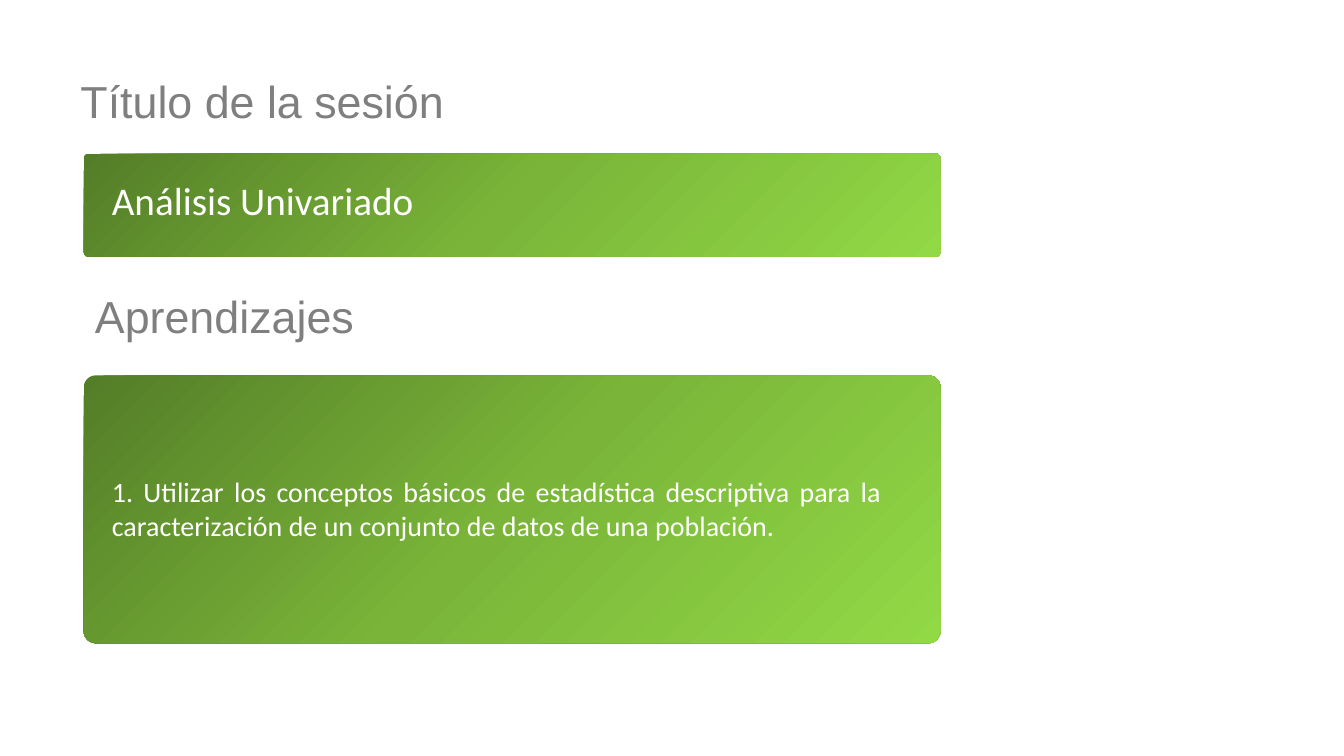
from copy import deepcopy

from pptx import Presentation
from pptx.dml.color import RGBColor
from pptx.enum.shapes import MSO_SHAPE
from pptx.enum.text import MSO_ANCHOR, MSO_AUTO_SIZE, PP_ALIGN
from pptx.util import Cm, Pt

ROUND = MSO_SHAPE.ROUNDED_RECTANGLE
TOP, MID = MSO_ANCHOR.TOP, MSO_ANCHOR.MIDDLE
FIXED = MSO_AUTO_SIZE.NONE
LEFT, CENTER, JUST = PP_ALIGN.LEFT, PP_ALIGN.CENTER, PP_ALIGN.JUSTIFY

COLORS = {
    "dark": "547D28",
    "mid": "7AB539",
    "light": "92D946",
    "gray": "7F7F7F",
    "white": "FFFFFF",
}
STOPS = [(0, "dark"), (0.5, "mid"), (1, "light")]
CARD_X, CARD_W = 2.11, 21.59
TEXT_X = 2.57


def rgb(name):
    return RGBColor.from_string(COLORS[name])


def add_card(slide, top, height):
    card = slide.shapes.add_shape(ROUND, Cm(CARD_X), Cm(top), Cm(CARD_W), Cm(height))
    card.adjustments[0] = 0.045
    card.shadow.inherit = False
    card.line.fill.background()
    fill = card.fill
    fill.gradient()
    fill.gradient_angle = 315
    first = fill._fill._gradFill.gsLst[0]
    first.addnext(deepcopy(first))
    for stop, (place, name) in zip(fill.gradient_stops, STOPS):
        stop.position = place
        stop.color.rgb = rgb(name)


def set_text(box, text, size, font, color, align, anchor=MID, space=0.9):
    frame = box.text_frame
    frame.word_wrap = True
    frame.auto_size = FIXED
    frame.vertical_anchor = anchor
    para = frame.paragraphs[0]
    para.alignment = align
    para.line_spacing = space
    run = para.add_run()
    run.text = text
    run.font.size = Pt(size)
    run.font.name = font
    run.font.color.rgb = rgb(color)


def add_box(slide, left, top, width, height):
    return slide.shapes.add_textbox(Cm(left), Cm(top), Cm(width), Cm(height))


def add_title(slide, left, top, width, height):
    title = slide.shapes.title
    title.left, title.top = Cm(left), Cm(top)
    title.width, title.height = Cm(width), Cm(height)
    return title


def main():
    deck = Presentation()
    deck.slide_width, deck.slide_height = Cm(33.87), Cm(19.05)
    slide = deck.slides.add_slide(deck.slide_layouts[5])

    title = add_title(slide, -0.74, 1.22, 14.71, 2.79)
    set_text(title, "Título de la sesión", 32, "Arial", "gray", CENTER)

    add_card(slide, 3.87, 2.6)
    topic = add_box(slide, TEXT_X, 4.06, 19.66, 2.08)
    set_text(topic, "Análisis Univariado", 28, "Calibri", "white", LEFT)

    head = add_box(slide, -0.41, 6.65, 12.14, 2.79)
    set_text(head, "Aprendizajes", 32, "Arial", "gray", CENTER)

    add_card(slide, 9.46, 6.75)
    goal = add_box(slide, TEXT_X, 11.84, 19.89, 1.96)
    set_text(
        goal,
        "1. Utilizar los conceptos básicos de estadística descriptiva para la "
        "caracterización de un conjunto de datos de una población.",
        20, "Calibri", "white", JUST, TOP, 1.0,
    )

    deck.save("out.pptx")


if __name__ == "__main__":
    main()
